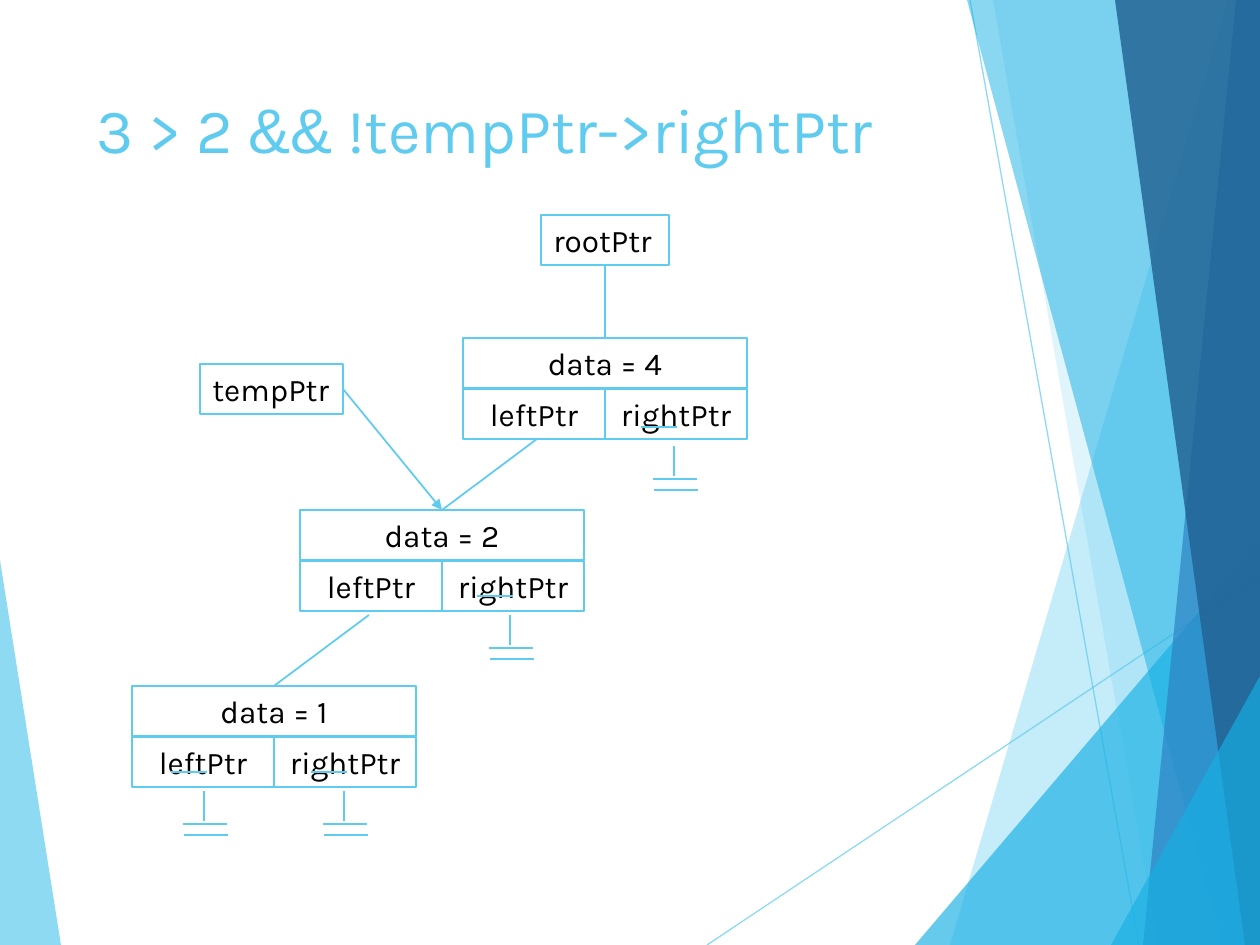
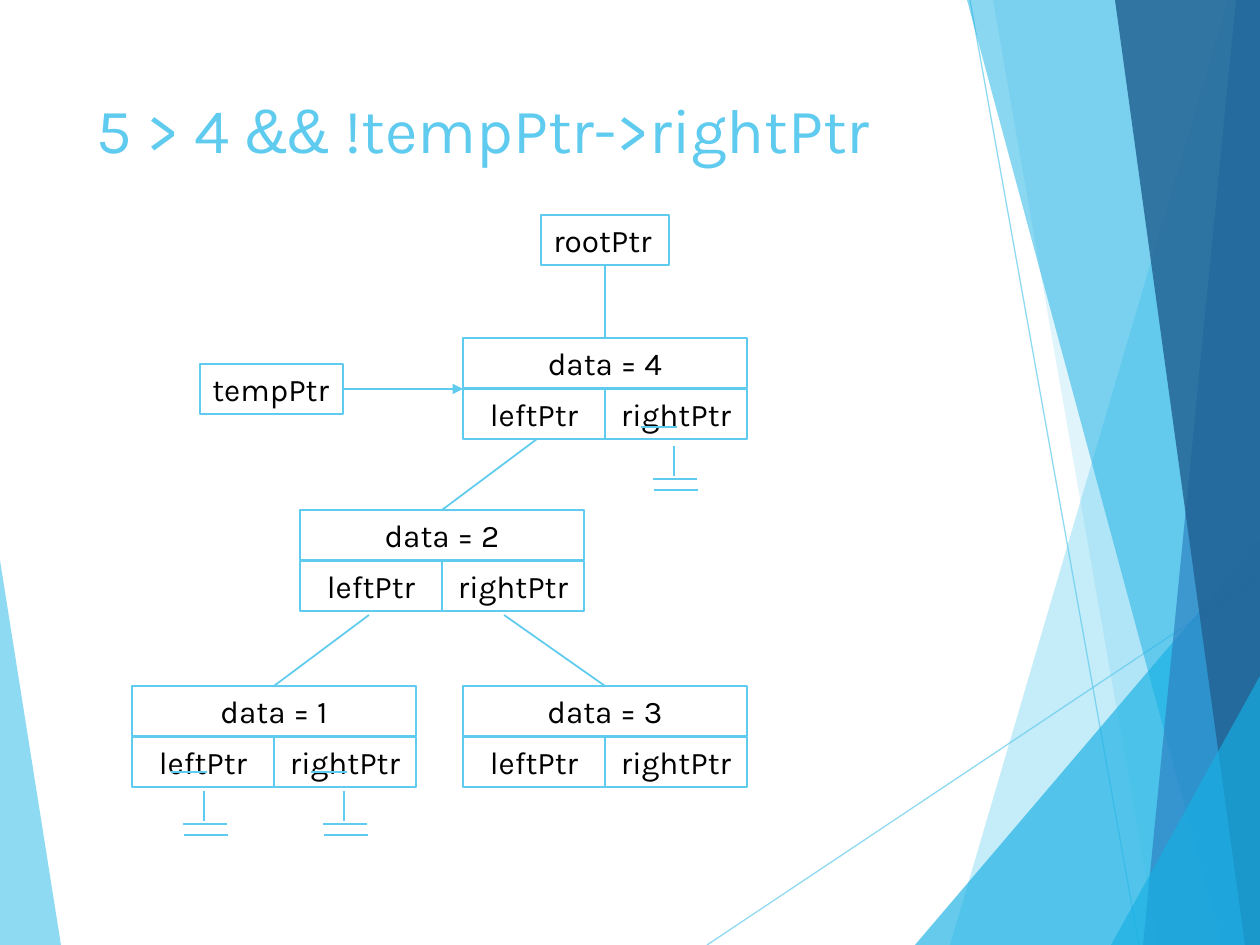
import pptx
import pptx.util
import pptx.dml.color
import pptx.enum.shapes
import pptx.enum.text
import pptx.oxml
import pptx.oxml.ns

PX = 914400 / 126
W, H = 1260, 945
COLOURS = {"sky": "5FCBEF", "cyan": "17B0E4", "blue": "2E83C3", "navy": "226292", "text": "000000"}
RGB = {name: pptx.dml.color.RGBColor.from_string(value) for name, value in COLOURS.items()}
NS = 'xmlns:a="http://schemas.openxmlformats.org/drawingml/2006/main"'
ALIGN = pptx.enum.text.PP_ALIGN
BOX_H, ROW, CELL_W = 50, 51, 142
TOP, BOTTOM, RIGHT = 0, 2, 3

# top x, top y, bottom x, slide edge x, colour, opacity in percent
FACETS = [
    (0, 560, 61, 0, "sky", 70),
    (1228, 0, 950, W, "sky", 36),
    (993, 0, 1158, W, "sky", 20),
    (W, 540, 915, W, "cyan", 66),
    (967, 0, 1222, W, "cyan", 50),
    (1236, 0, 1143, W, "blue", 70),
    (1115, 0, 1245, W, "navy", 82),
    (W, 676, 1111, W, "cyan", 66),
]
BACK_LINES = [((707, H), (W, 576)), ((970, 0), (1139, H))]

# data value: left, top of the node
NODES = {4: (463, 338), 2: (300, 510), 1: (132, 686)}
# start of the link: data value of the child
LINKS = {(537, 439): 2, (369, 615): 1}
# top of each ground symbol's stem
GROUNDS = [(674, 446), (204, 791), (344, 791)]
GROUND_LINES = [((-33, -19), (3, -19)), ((23, 33), (-21, 33)), ((24, 44), (-20, 44)), ((0, 0), (0, 30))]

SLIDES = [
    {"compare": "3 > 2 ", "nodes": NODES, "links": LINKS,
     "grounds": GROUNDS + [(510, 615)], "temp_node": 2},
    {"compare": "5 > 4 ", "nodes": {**NODES, 3: (463, 686)}, "links": {**LINKS, (504, 615): 3},
     "grounds": GROUNDS, "temp_node": None},
]


def add_line(s, start, end, width=1):
    c = s.shapes.add_connector(pptx.enum.shapes.MSO_CONNECTOR.STRAIGHT,
                               *(round(v * PX) for v in (*start, *end)))
    c.line.color.rgb = RGB["sky"]
    c.line.width = pptx.util.Pt(width)
    c.element.spPr.append(pptx.oxml.parse_xml(f"<a:effectLst {NS}/>"))
    return c


def add_box(s, text, x, y, w, wrap=True):
    sp = s.shapes.add_shape(pptx.enum.shapes.MSO_SHAPE.RECTANGLE,
                            *(round(v * PX) for v in (x, y, w, BOX_H)))
    sp.shadow.inherit = False
    sp.fill.background()
    sp.line.color.rgb = RGB["sky"]
    sp.line.width = pptx.util.Pt(0.75)
    tf = sp.text_frame
    frame_format = {"word_wrap": wrap, "auto_size": pptx.enum.text.MSO_AUTO_SIZE.SHAPE_TO_FIT_TEXT,
                    "vertical_anchor": pptx.enum.text.MSO_ANCHOR.TOP}
    for name, value in frame_format.items():
        setattr(tf, name, value)
    p = tf.paragraphs[0]
    p.alignment = ALIGN.CENTER if wrap else ALIGN.LEFT
    r = p.add_run()
    r.text = text
    for name, value in {"name": "Karla", "size": pptx.util.Pt(18)}.items():
        setattr(r.font, name, value)
    r.font.color.rgb = RGB["text"]
    return sp


prs = pptx.Presentation()
prs.slide_width, prs.slide_height = round(W * PX), round(H * PX)

for content in SLIDES:
    s = prs.slides.add_slide(prs.slide_layouts[6])

    # Faceted backdrop
    translucent = [(add_line(s, start, end, 0.75), 70) for start, end in BACK_LINES]
    for top_x, top_y, bottom_x, edge_x, colour, opacity in FACETS:
        outline = s.shapes.build_freeform(top_x, top_y, scale=PX)
        outline.add_line_segments([(bottom_x, H), (edge_x, H), (edge_x, top_y)])
        sp = outline.convert_to_shape()
        sp.shadow.inherit = False
        sp.fill.solid()
        sp.fill.fore_color.rgb = RGB[colour]
        sp.line.fill.background()
        translucent.append((sp, opacity))
    for sp, opacity in translucent:
        for clr in sp.element.spPr.iter(pptx.oxml.ns.qn("a:srgbClr")):
            clr.append(pptx.oxml.parse_xml(f'<a:alpha {NS} val="{opacity * 1000}"/>'))

    # Title
    title = s.shapes.add_textbox(*(round(v * PX) for v in (84, 84, 875, 182)))
    title.text_frame.word_wrap = True
    p = title.text_frame.paragraphs[0]
    for text, font in [(content["compare"], "Karla"), ("&&", "Arial"), (" !tempPtr->rightPtr", "Karla")]:
        r = p.add_run()
        r.text = text
        for name, value in {"name": font, "size": pptx.util.Pt(36)}.items():
            setattr(r.font, name, value)
        r.font.color.rgb = RGB["sky"]

    # Tree nodes
    data = {}
    for value, (x, y) in content["nodes"].items():
        for i, pointer in enumerate(["leftPtr", "rightPtr"]):
            add_box(s, pointer, x + i * CELL_W, y + ROW, CELL_W)
        data[value] = add_box(s, f"data = {value}", x, y, 2 * CELL_W)

    # Links between nodes
    for start, child in content["links"].items():
        add_line(s, start, start).end_connect(data[child], TOP)

    # Named pointers
    root = add_box(s, "rootPtr", 541, 215, 128, wrap=False)
    c = add_line(s, (605, 265), (605, 338))
    c.begin_connect(root, BOTTOM)
    c.end_connect(data[4], TOP)

    temp = add_box(s, "tempPtr", 200, 364, 143, wrap=False)
    c = add_line(s, (343, 389), (463, 389))
    c.begin_connect(temp, RIGHT)
    if content["temp_node"]:
        c.end_connect(data[content["temp_node"]], TOP)
    ln = c.element.spPr.find(pptx.oxml.ns.qn("a:ln"))
    ln.append(pptx.oxml.parse_xml(f'<a:tailEnd {NS} type="triangle"/>'))

    # Ground symbols for null pointers
    for x, y in content["grounds"]:
        for (x1, y1), (x2, y2) in GROUND_LINES:
            add_line(s, (x + x1, y + y1), (x + x2, y + y2))

prs.save("out.pptx")
